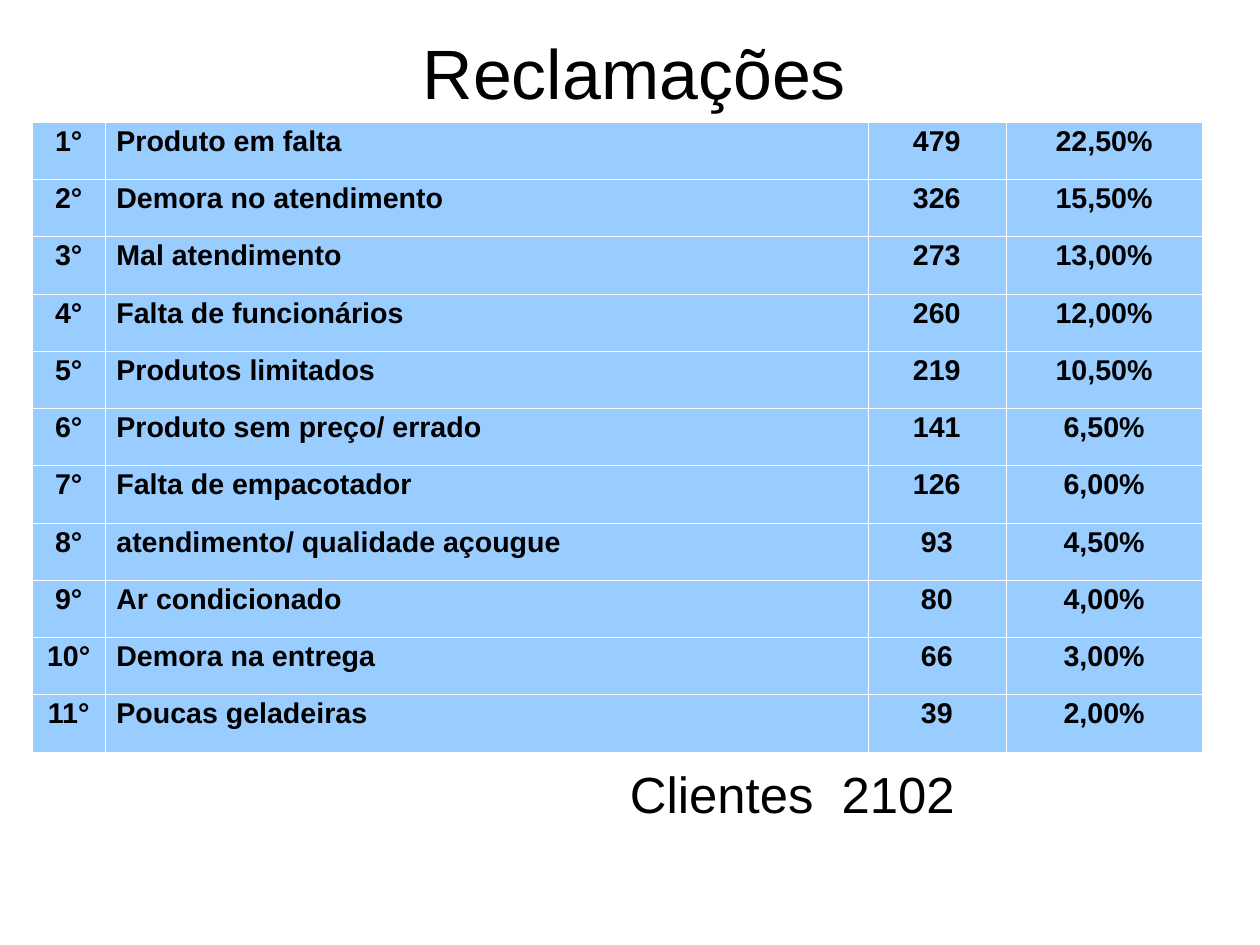
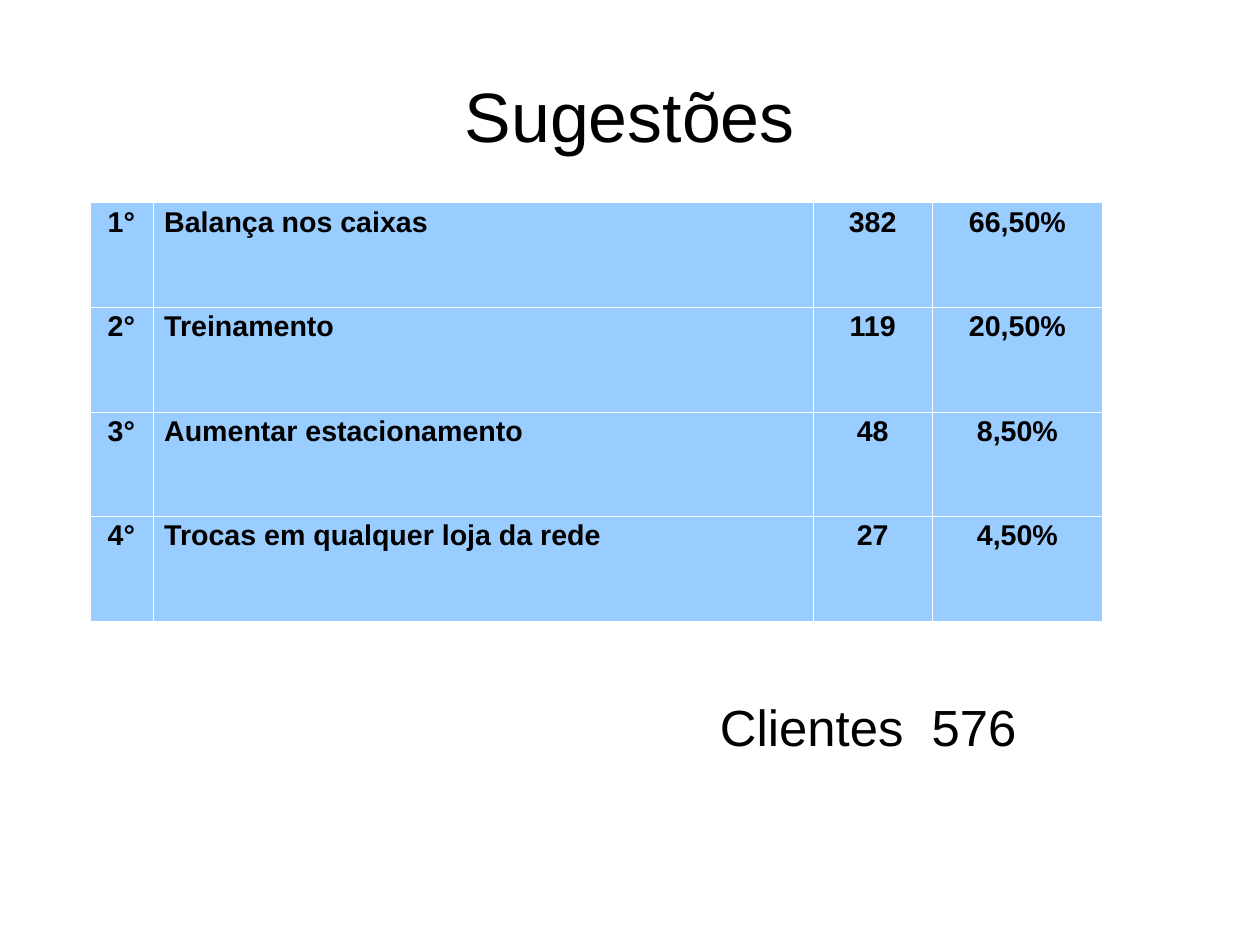
from lxml.etree import SubElement as Sub
from pptx import Presentation
from pptx.dml.color import RGBColor as Rgb
from pptx.enum.text import MSO_ANCHOR as Anchor, PP_ALIGN as Align
from pptx.oxml.ns import qn
from pptx.util import Cm, Pt

HUES = {"ink": "000000", "cell": "99CCFF", "edge": "FFFFFF"}
FACE = "Arial"
SHARES = (0.062, 0.652, 0.118, 0.168)
ALIGNS = (Align.CENTER, Align.LEFT, Align.CENTER, Align.CENTER)

CLAIMS = [
    ("Produto em falta", "479", "22,50%"),
    ("Demora no atendimento", "326", "15,50%"),
    ("Mal atendimento", "273", "13,00%"),
    ("Falta de funcionários", "260", "12,00%"),
    ("Produtos limitados", "219", "10,50%"),
    ("Produto sem preço/ errado", "141", "6,50%"),
    ("Falta de empacotador", "126", "6,00%"),
    ("atendimento/ qualidade açougue", "93", "4,50%"),
    ("Ar condicionado", "80", "4,00%"),
    ("Demora na entrega", "66", "3,00%"),
    ("Poucas geladeiras", "39", "2,00%"),
]
IDEAS = [
    ("Balança nos caixas", "382", "66,50%"),
    ("Treinamento", "119", "20,50%"),
    ("Aumentar estacionamento", "48", "8,50%"),
    ("Trocas em qualquer loja da rede", "27", "4,50%"),
]


def write(frame, text, size, align, bold=False):
    """Set one paragraph of text in the shared style."""
    frame.text = text
    para = frame.paragraphs[0]
    para.alignment = align
    para.line_spacing = 0.93
    for run in para.runs:
        font = run.font
        font.name, font.size, font.bold = FACE, Pt(size), bold
        font.color.rgb = Rgb.from_string(HUES["ink"])


def inset(frame, left, top):
    """Set the left and top insets and clear the others."""
    frame.word_wrap = True
    frame.margin_left, frame.margin_top = Cm(left), Cm(top)
    frame.margin_right = frame.margin_bottom = 0


def add_title(slide, text, box):
    """Move the title placeholder into its box and fill it."""
    title = slide.shapes.title
    title.left, title.top, title.width, title.height = map(Cm, box)
    frame = title.text_frame
    inset(frame, 0, 0.1)
    frame.vertical_anchor = Anchor.MIDDLE
    write(frame, text, 44, Align.CENTER)


def add_edges(cell):
    """Draw hairlines on the four sides of a cell."""
    props = cell._tc.get_or_add_tcPr()
    for side in "LRTB":
        line = Sub(props, qn(f"a:ln{side}"), w=str(Pt(0.06)))
        fill = Sub(line, qn("a:solidFill"))
        Sub(fill, qn("a:srgbClr"), val=HUES["edge"])


def add_ranks(slide, items, box):
    """Build the ranking table, with equal rows, in its box."""
    wide, high = box[2:]
    shape = slide.shapes.add_table(len(items), len(SHARES), *map(Cm, box))
    table = shape.table
    table.first_row = table.horz_banding = False
    for col, share in zip(table.columns, SHARES):
        col.width = Cm(wide * share)
    for rank, (row, item) in enumerate(zip(table.rows, items), 1):
        row.height = Cm(high / len(items))
        for cell, text, align in zip(row.cells, (f"{rank}°", *item), ALIGNS):
            add_edges(cell)
            cell.fill.solid()
            cell.fill.fore_color.rgb = Rgb.from_string(HUES["cell"])
            write(cell.text_frame, text, 18, align, True)


def add_total(slide, count, box):
    """Write the number of clients in its box."""
    frame = slide.shapes.add_textbox(*map(Cm, box)).text_frame
    inset(frame, 1.5, 0.08)
    write(frame, f"Clientes  {count}", 32, Align.LEFT)


def add_page(deck, title, head, items, grid, count, foot):
    """Add a slide with a title, a ranking and a total."""
    slide = deck.slides.add_slide(deck.slide_layouts[5])
    add_title(slide, title, head)
    add_ranks(slide, items, grid)
    add_total(slide, count, foot)


def main():
    """Build and save the deck."""
    deck = Presentation()
    deck.slide_width, deck.slide_height = Cm(28), Cm(21)
    add_page(deck, "Reclamações", (1.5, 0.25, 25.2, 2.77),
             CLAIMS, (0.72, 2.71, 26, 14), 2102, (12.5, 17, 10.5, 2.5))
    add_page(deck, "Sugestões", (1.4, 0.85, 25.2, 3.5),
             IDEAS, (2, 4.5, 22.5, 9.3), 576, (14.5, 15.5, 10.5, 2.5))
    deck.save("out.pptx")


if __name__ == "__main__":
    main()
